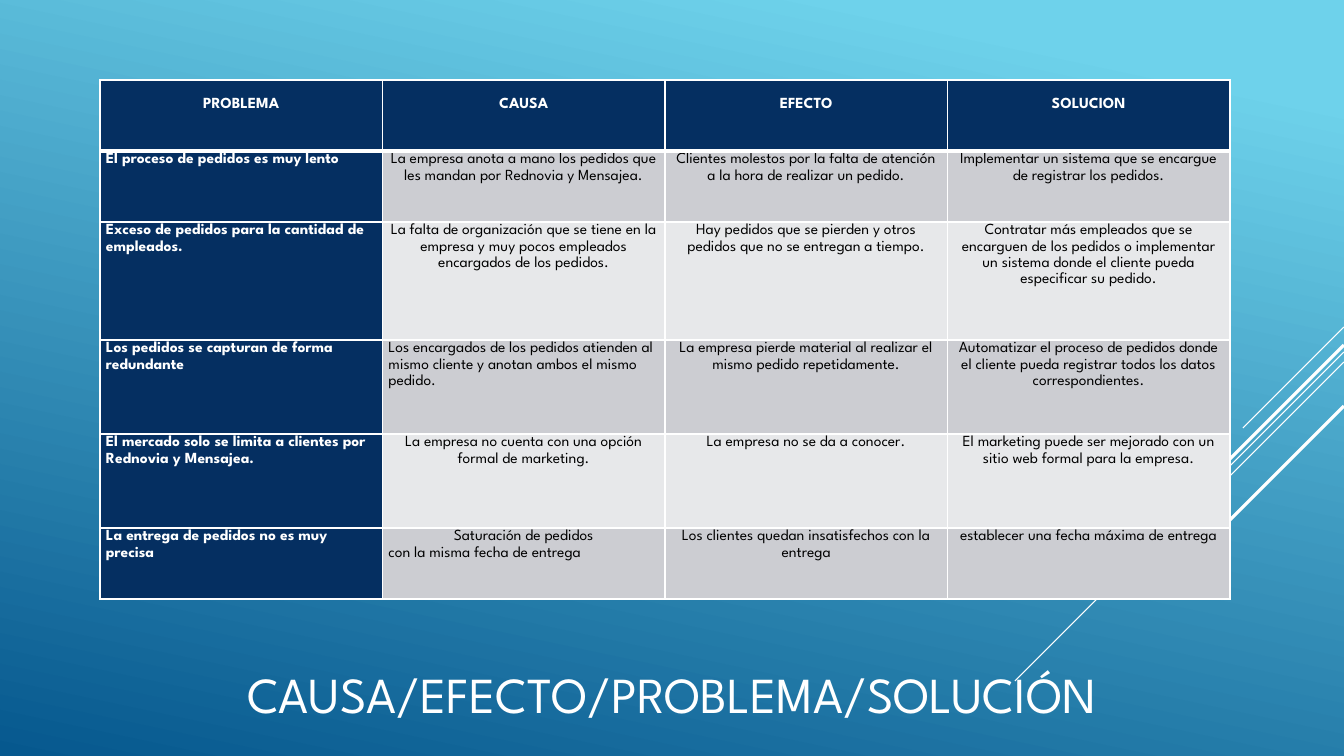
from lxml import etree
from pptx import Presentation
from pptx.dml.color import RGBColor
from pptx.enum.shapes import MSO_CONNECTOR
from pptx.enum.text import MSO_ANCHOR, PP_ALIGN
from pptx.oxml.ns import qn
from pptx.util import Pt

STRAIGHT = MSO_CONNECTOR.STRAIGHT
MIDDLE, TOP = MSO_ANCHOR.MIDDLE, MSO_ANCHOR.TOP
LEFT, CENTER = PP_ALIGN.LEFT, PP_ALIGN.CENTER

EMU_PER_PX = 12192000 / 1344
PAGE_WIDTH, PAGE_HEIGHT = 1344, 756
FONT = "League Spartan"
COLORS = {
    "sky": "6ED2EB",
    "deep": "06588E",
    "navy": "052F61",
    "dark_band": "CCCDD2",
    "light_band": "E7E8EA",
    "white": "FFFFFF",
    "black": "000000",
}

TITLE = "CAUSA/EFECTO/PROBLEMA/SOLUCIÓN"
TITLE_BOX = (173, 610, 998, 166)
TABLE_BOX = (100, 80, 1130, 519)
ROW_HEIGHTS = (71, 71, 118, 94, 94, 71)
ROWS = [
    ("PROBLEMA", "CAUSA", "EFECTO", "SOLUCION"),
    ("El proceso de pedidos es muy lento",
     "La empresa anota a mano los pedidos que les mandan por Rednovia y Mensajea.",
     "Clientes molestos por la falta de atención a la hora de realizar un pedido.",
     "Implementar un sistema que se encargue de registrar los pedidos."),
    ("Exceso de pedidos para la cantidad de empleados.",
     "La falta de organización que se tiene en la empresa y muy pocos empleados "
     "encargados de los pedidos.",
     "Hay pedidos que se pierden y otros pedidos que no se entregan a tiempo.",
     "Contratar más empleados que se encarguen de los pedidos o implementar un "
     "sistema donde el cliente pueda especificar su pedido."),
    ("Los pedidos se capturan de forma redundante",
     "Los encargados de los pedidos atienden al mismo cliente y anotan ambos el "
     "mismo pedido.",
     "La empresa pierde material al realizar el mismo pedido repetidamente.",
     "Automatizar el proceso de pedidos donde el cliente pueda registrar todos los "
     "datos correspondientes."),
    ("El mercado solo se limita a clientes por Rednovia y Mensajea.",
     "La empresa no cuenta con una opción formal de marketing.",
     "La empresa no se da a conocer.",
     "El marketing puede ser mejorado con un sitio web formal para la empresa."),
    ("La entrega de pedidos no es muy precisa",
     "Saturación de pedidos\ncon la misma fecha de entrega",
     "Los clientes quedan insatisfechos con la entrega",
     "establecer una fecha máxima de entrega"),
]
LEFT_STARTS = ("Los encargados", "con la misma")

# Each ray leaves the right edge at a height and falls at 45 degrees: height, run, points
RAYS = [(327, 101, 0.75), (352, 329, 0.75), (362, 209, 0.75),
        (345, 193, 2.25), (406, 140, 2.25)]


def px(length):
    return round(length * EMU_PER_PX)


def rgb(name):
    return RGBColor.from_string(COLORS[name])


def apply(target, values):
    for name, value in values.items():
        setattr(target, name, value)


def write_para(para, text, size, color, bold, para_format):
    apply(para, para_format)
    span = para.add_run()
    span.text = text
    apply(span.font, {"name": FONT, "size": Pt(size), "bold": bold})
    span.font.color.rgb = rgb(color)


def paint_background(page):
    fill = page.background.fill
    fill.gradient()
    fill.gradient_angle = 258
    for stop, color, position in zip(fill.gradient_stops, ("sky", "deep"), (0.1, 1)):
        stop.color.rgb = rgb(color)
        stop.position = position


def add_rays(page, right):
    for height, run, points in RAYS:
        ray = page.shapes.add_connector(
            STRAIGHT, px(right), px(height), px(right - run), px(height + run))
        ray.line.color.rgb = rgb("white")
        ray.line.width = Pt(points)
        etree.SubElement(ray._element.spPr, qn("a:effectLst"))


def place_title(page, box):
    title = page.shapes.title
    page.shapes._spTree.append(title._element)  # in front of the rays
    apply(title, dict(zip(("left", "top", "width", "height"), map(px, box))))
    apply(title.text_frame, {"word_wrap": True, "vertical_anchor": MIDDLE})
    write_para(title.text_frame.paragraphs[0], TITLE, 36, "white", False,
               {"alignment": CENTER})


def set_borders(cell, widths):
    """Draw white cell borders; widths maps an edge tag to points."""
    properties = cell._tc.get_or_add_tcPr()
    for index, (edge, points) in enumerate(widths.items()):
        border = etree.Element(qn(f"a:{edge}"), w=str(Pt(points)))
        fill = etree.SubElement(border, qn("a:solidFill"))
        etree.SubElement(fill, qn("a:srgbClr"), val=COLORS["white"])
        properties.insert(index, border)


def fill_cell(cell, text, row, column):
    is_header, is_label = row == 0, column == 0
    on_navy = is_header or is_label
    band = "dark_band" if row % 2 else "light_band"
    cell.fill.solid()
    cell.fill.fore_color.rgb = rgb("navy" if on_navy else band)
    apply(cell, {"margin_left": px(6), "margin_right": px(6), "margin_bottom": 0,
                 "margin_top": px(16 if is_header else 0), "vertical_anchor": TOP})
    set_borders(cell, {"lnL": 1, "lnR": 1, "lnT": 3 if row == 1 else 1,
                       "lnB": 3 if is_header else 1})
    frame = cell.text_frame
    for index, line in enumerate(text.split("\n")):
        para = frame.add_paragraph() if index else frame.paragraphs[0]
        at_left = (is_label and not is_header) or line.startswith(LEFT_STARTS)
        write_para(para, line, 11, "white" if on_navy else "black", on_navy,
                   {"alignment": LEFT if at_left else CENTER, "line_spacing": 1.15})


def add_problem_table(page, box):
    table = page.shapes.add_table(len(ROWS), len(ROWS[0]), *map(px, box)).table
    table.horz_banding = False
    for row, texts in enumerate(ROWS):
        table.rows[row].height = px(ROW_HEIGHTS[row])
        for column, text in enumerate(texts):
            fill_cell(table.cell(row, column), text, row, column)


def main():
    deck = Presentation()
    deck.slide_width, deck.slide_height = px(PAGE_WIDTH), px(PAGE_HEIGHT)
    page = deck.slides.add_slide(deck.slide_layouts.get_by_name("Title Only"))
    paint_background(page)
    add_rays(page, PAGE_WIDTH)
    place_title(page, TITLE_BOX)
    add_problem_table(page, TABLE_BOX)
    deck.save("out.pptx")


if __name__ == "__main__":
    main()
